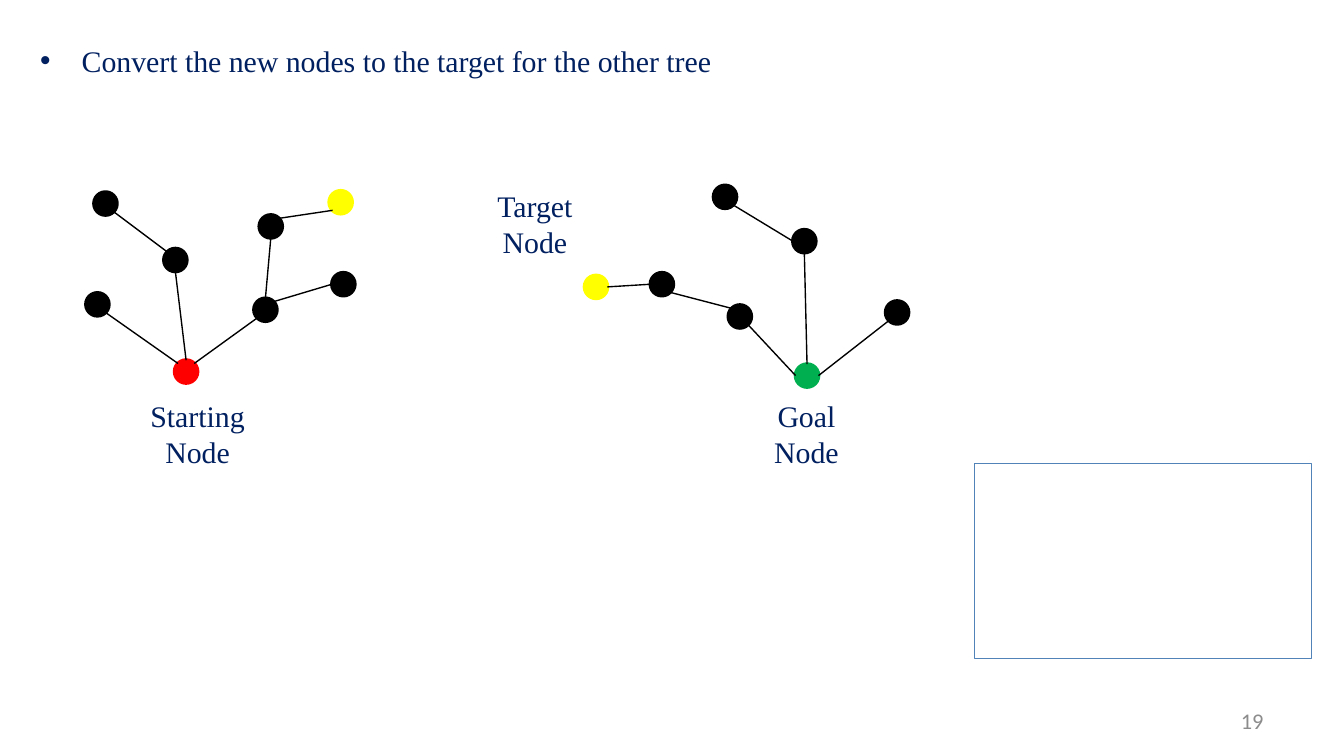
from dataclasses import dataclass

from lxml.etree import SubElement
from pptx import Presentation
from pptx.dml.color import RGBColor
from pptx.enum.shapes import MSO_CONNECTOR, MSO_SHAPE
from pptx.enum.text import MSO_ANCHOR, PP_ALIGN
from pptx.oxml.ns import qn
from pptx.util import Emu, Pt


@dataclass(frozen=True)
class Theme:
    ink: str = "002060"
    black: str = "000000"
    start: str = "FF0000"
    goal: str = "00B050"
    target: str = "FFFF00"
    frame: str = "5183B8"
    muted: str = "8C8C8C"
    body_font: str = "Times New Roman"
    number_font: str = "Calibri"
    body_size: int = 16
    number_size: int = 12


THEME = Theme()
PX = 9144  # 100 px to the inch
SLIDE_WIDTH = 1000
NODE = 17
BULLET_INDENT = 31

# Offsets of a node's connection sites from its centre
RIM = NODE / 2
DIAGONAL = 6
SITES = {
    "top": (0, -RIM), "bottom": (0, RIM), "left": (-RIM, 0), "right": (RIM, 0),
    "top left": (-DIAGONAL, -DIAGONAL), "top right": (DIAGONAL, -DIAGONAL),
    "bottom left": (-DIAGONAL, DIAGONAL), "bottom right": (DIAGONAL, DIAGONAL),
}

# Each node: left and top within its tree, and colour
START_NODES = {
    "root": (66, 126, THEME.start),
    "low left": (0, 76, THEME.black),
    "middle": (58, 43, THEME.black),
    "top left": (6, 1, THEME.black),
    "branch": (125, 80, THEME.black),
    "low right": (183, 61, THEME.black),
    "top right": (129, 18, THEME.black),
    "new": (181, 0, THEME.target),
}
START_EDGES = [
    ("low left", "bottom right", "root", "top left"),
    ("middle", "bottom", "root", "top"),
    ("branch", "bottom left", "root", "top right"),
    ("top left", "bottom right", "middle", "top left"),
    ("top right", "bottom", "branch", "top"),
    ("low right", "left", "branch", "top right"),
    ("new", "bottom left", "top right", "top right"),
]
GOAL_NODES = {
    "root": (157, 133, THEME.goal),
    "right": (224, 86, THEME.black),
    "middle": (155, 33, THEME.black),
    "top": (96, 0, THEME.black),
    "branch": (107, 89, THEME.black),
    "left": (49, 65, THEME.black),
    "target": (0, 67, THEME.target),
}
GOAL_EDGES = [
    ("branch", "bottom right", "root", "left"),
    ("middle", "bottom", "root", "top"),
    ("right", "bottom left", "root", "right"),
    ("top", "bottom right", "middle", "left"),
    ("branch", "top left", "left", "bottom right"),
    ("left", "left", "target", "right"),
]


def px(*lengths):
    return [Emu(round(length * PX)) for length in lengths]


def add_text(slide, text, box, *, font=THEME.body_font, size=THEME.body_size,
             color=THEME.ink, align=PP_ALIGN.CENTER, anchor=MSO_ANCHOR.TOP, bullet=None):
    shape = slide.shapes.add_textbox(*px(*box))
    frame = shape.text_frame
    frame.word_wrap = True
    frame.vertical_anchor = anchor
    paragraph = frame.paragraphs[0]
    paragraph.alignment = align
    if bullet:
        (indent,) = px(BULLET_INDENT)
        properties = paragraph._p.get_or_add_pPr()
        properties.set("marL", str(indent))
        properties.set("indent", str(-indent))
        SubElement(properties, qn("a:buFont")).set("typeface", "Arial")
        SubElement(properties, qn("a:buChar")).set("char", bullet)
    run = paragraph.add_run()
    run.text = text
    run.font.name = font
    run.font.size = Pt(size)
    run.font.color.rgb = RGBColor.from_string(color)


def add_node(slide, left, top, color):
    shape = slide.shapes.add_shape(MSO_SHAPE.OVAL, *px(left, top, NODE, NODE))
    shape.shadow.inherit = False
    shape.fill.solid()
    shape.fill.fore_color.rgb = RGBColor.from_string(color)
    shape.line.color.rgb = RGBColor.from_string(color)
    shape.line.width = Pt(2)


def add_edge(slide, begin, end):
    connector = slide.shapes.add_connector(MSO_CONNECTOR.STRAIGHT, *px(*begin, *end))
    connector.line.color.rgb = RGBColor.from_string(THEME.black)
    connector.line.width = Pt(0.75)
    SubElement(connector._element.spPr, qn("a:effectLst"))


def add_tree(slide, left, top, nodes, edges):
    """Draw nodes, then edges that join the named sites of two nodes."""
    def site_point(name, site):
        x, y, _ = nodes[name]
        dx, dy = SITES[site]
        return left + x + RIM + dx, top + y + RIM + dy

    for x, y, color in nodes.values():
        add_node(slide, left + x, top + y, color)
    for child, child_site, parent, parent_site in edges:
        add_edge(slide, site_point(child, child_site), site_point(parent, parent_site))


def add_empty_frame(slide, box):
    shape = slide.shapes.add_shape(MSO_SHAPE.RECTANGLE, *px(*box))
    shape.shadow.inherit = False
    shape.fill.background()
    shape.line.color.rgb = RGBColor.from_string(THEME.frame)
    shape.line.width = Pt(0.25)


def build_slide(presentation):
    slide = presentation.slides.add_slide(presentation.slide_layouts[6])
    add_empty_frame(slide, (725, 345, 251, 145))
    add_text(slide, "19", (717, 521, 233, 30), font=THEME.number_font,
             size=THEME.number_size, color=THEME.muted,
             align=PP_ALIGN.RIGHT, anchor=MSO_ANCHOR.MIDDLE)
    add_text(slide, "Convert the new nodes to the target for the other tree",
             (20, 27, 697, 37), align=PP_ALIGN.JUSTIFY, bullet="•")
    add_tree(slide, 64, 142, START_NODES, START_EDGES)
    add_tree(slide, 435, 138, GOAL_NODES, GOAL_EDGES)
    for label, left, top in [("Starting Node", 101, 291), ("Goal Node", 554, 291),
                             ("Target Node", 352, 135)]:
        add_text(slide, label, (left, top, 92, 64))


def main():
    presentation = Presentation()
    presentation.slide_width, presentation.slide_height = px(
        SLIDE_WIDTH, SLIDE_WIDTH * 9 / 16)
    build_slide(presentation)
    presentation.save("out.pptx")


if __name__ == "__main__":
    main()
